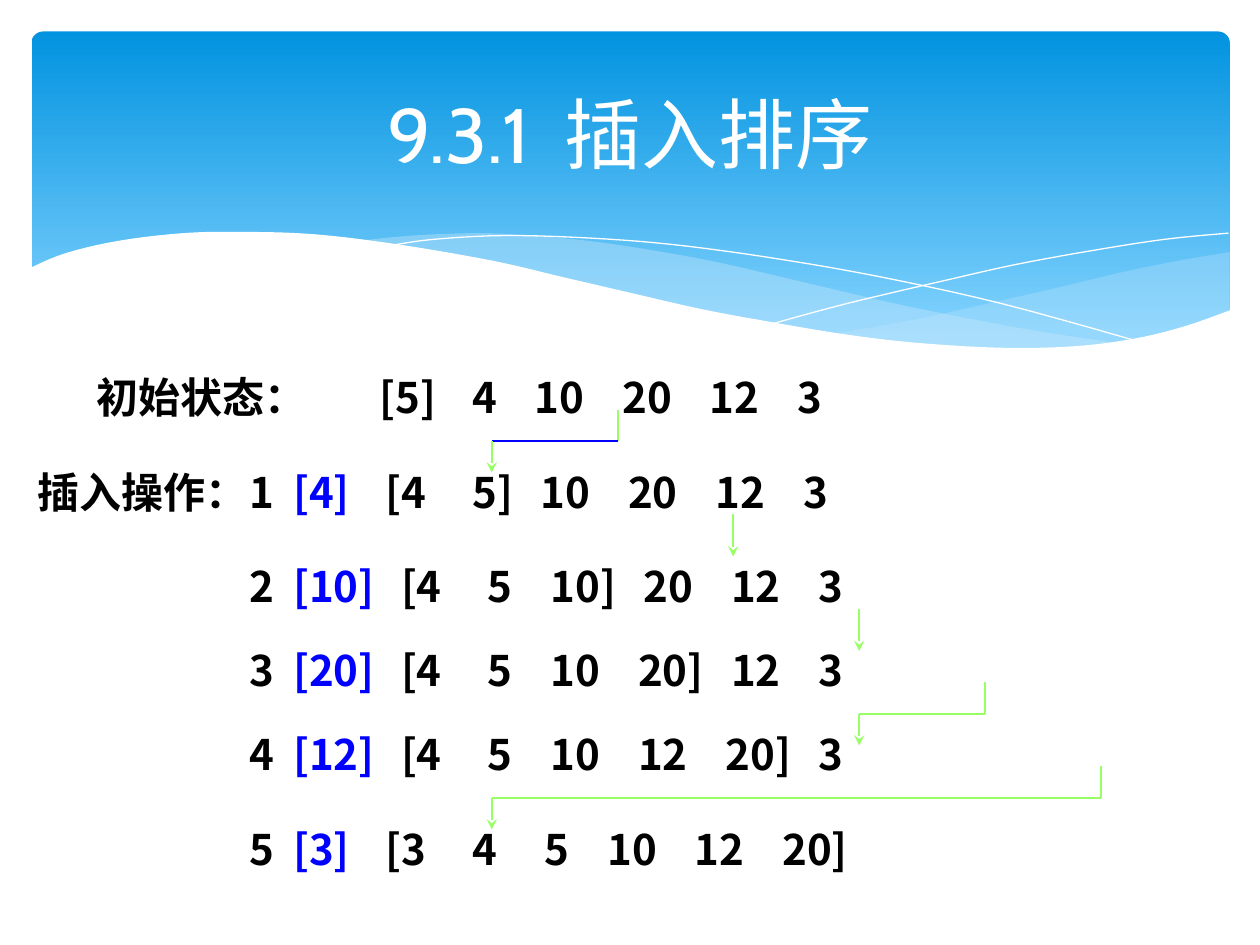
from lxml.etree import SubElement
from pptx import Presentation
from pptx.dml.color import RGBColor
from pptx.enum.shapes import MSO_CONNECTOR, MSO_SHAPE
from pptx.enum.text import MSO_ANCHOR, PP_ALIGN
from pptx.oxml.ns import qn
from pptx.util import Pt

COLORS = {
    "banner_top": "0293E0",
    "banner_bottom": "83D3FE",
    "wave": "C6E7FC",
    "white": "FFFFFF",
    "text": "000000",
    "key": "0000FF",
    "arrow": "99FF66",
}
BODY_FONT = "Noto Sans CJK SC"
TITLE_FONT = "Cabin"
DIGIT_WIDTH, BRACKET_WIDTH, SPACE_WIDTH = 14.2, 8.5, 5.4
ROW_LEFT, ROW_WIDTH, ROW_HEIGHT = 135.5, 512, 36

RIGHT_WAVE = [
    [(702.7, 144), (673.2, 149), (641.5, 155.5), (599, 165.6), (560.9, 174.2),
     (524.9, 182.2), (475.9, 190.8)],
    [(475.9, 190.8), (507.6, 195.1), (545, 198.7), (578.2, 200.2), (614.9, 198.7),
     (645.8, 194.4), (673.2, 188.6), (702.7, 177.8)],
]
MIDDLE_WAVE = [
    [(643, 196.6), (602.6, 190.8), (558, 182.9), (508.3, 172.8), (452.9, 159.8),
     (409.7, 149.8), (370.1, 142.6), (334.8, 137.5), (302.4, 134.6), (273.6, 133.2),
     (236.2, 134.6), (205.9, 137.5)],
    [(205.9, 137.5), (246.2, 143.3), (290.9, 151.9), (323.3, 159.8), (381.6, 172.8),
     (432.7, 183.6), (478.8, 191.5), (519.8, 197.3), (556.6, 199.4), (589, 200.2),
     (617, 199.4), (643, 196.6)],
]
FALLING_LINE = [
    (222.5, 140.4), (247.7, 136.8), (288.7, 134.6), (337.7, 136.1), (383.8, 139.7),
    (437.8, 146.9), (500.4, 157.7), (572.4, 173.5), (653, 195.8),
]
RISING_LINE = [
    (441.4, 185), (483.8, 173.5), (538.6, 160.6), (580.3, 151.2), (623.5, 143.3),
    (665.3, 136.8), (702, 133.2),
]
WHITE_WAVE = [
    (16.6, 153.4), (37.4, 144.7), (68.4, 137.5), (105.1, 133.2), (139, 132.5),
    (180, 133.9), (227.5, 139.7), (281.5, 149), (321.8, 158.4), (362.2, 167.8),
    (399.6, 176.4), (434.2, 182.9), (481, 190.8), (522.7, 195.8), (571, 198.7),
    (612, 198), (647.3, 193.7), (676.8, 186.5), (703.4, 177.1),
]
WHITE_BASE = [(703.4, 236.9), (16.6, 236.9)]

STEPS = [
    (263, "1", "[4]", "[4 5] 10 20 12 3"),
    (317, "2", "[10]", "[4 5 10] 20 12 3"),
    (365, "3", "[20]", "[4 5 10 20] 12 3"),
    (413, "4", "[12]", "[4 5 10 12 20] 3"),
    (467, "5", "[3]", "[3 4 5 10 12 20]"),
]
ELBOWS = [
    (353, 281, 234, "key"),
    (563, 491, 390, "arrow"),
    (629, 281, 438, "arrow"),
]
DROPS = [(419, 294), (491, 348)]


def color(name):
    return RGBColor.from_string(COLORS[name])


def smooth_curve(points, steps=5):
    padded = [points[0], *points, points[-1]]
    curve = [points[0]]
    for a, b, c, d in zip(padded, padded[1:], padded[2:], padded[3:]):
        for step in range(1, steps + 1):
            t = step / steps
            curve.append(tuple(
                0.5 * (2 * q + (r - p) * t + (2 * p - 5 * q + 4 * r - s) * t ** 2
                       + (3 * q - p - 3 * r + s) * t ** 3)
                for p, q, r, s in zip(a, b, c, d)))
    return curve


def add_outline(slide, points, closed):
    vertices = [(Pt(x), Pt(y)) for x, y in points]
    builder = slide.shapes.build_freeform(*vertices[0])
    builder.add_line_segments(vertices[1:], close=closed)
    shape = builder.convert_to_shape()
    shape.shadow.inherit = False
    return shape


def add_wave(slide, points, fill, opacity=100):
    shape = add_outline(slide, points, True)
    shape.fill.solid()
    shape.fill.fore_color.rgb = color(fill)
    shape.line.fill.background()
    if opacity < 100:
        fill_color = shape.element.spPr.find(f"{qn('a:solidFill')}/{qn('a:srgbClr')}")
        SubElement(fill_color, qn("a:alpha"), val=str(opacity * 1000))


def add_curve_line(slide, points):
    shape = add_outline(slide, smooth_curve(points), False)
    shape.fill.background()
    shape.line.color.rgb = color("white")
    shape.line.width = Pt(0)


def add_banner(slide):
    banner = slide.shapes.add_shape(
        MSO_SHAPE.ROUNDED_RECTANGLE, Pt(18), Pt(18), Pt(684.7), Pt(194.4))
    banner.adjustments[0] = 0.034
    banner.shadow.inherit = False
    banner.line.fill.background()
    banner.fill.gradient()
    banner.fill.gradient_angle = 270
    stops = zip(banner.fill.gradient_stops, ("banner_top", "banner_bottom"), (0, 0.9))
    for stop, name, position in stops:
        stop.color.rgb = color(name)
        stop.position = position
    for edges, opacity in ((RIGHT_WAVE, 29), (MIDDLE_WAVE, 40)):
        outline = [point for edge in edges for point in smooth_curve(edge)]
        add_wave(slide, outline, "wave", opacity)
    add_curve_line(slide, FALLING_LINE)
    add_curve_line(slide, RISING_LINE)
    add_wave(slide, smooth_curve(WHITE_WAVE) + WHITE_BASE, "white")


def format_font(font, name, size, bold, fill=None):
    font.size = Pt(size)
    font.bold = bold
    if fill:
        font.color.rgb = color(fill)
    font.name = name
    SubElement(font._element, qn("a:ea"), typeface=BODY_FONT)


def add_title(slide, text):
    title = slide.shapes.title
    title.left, title.top, title.width, title.height = Pt(36), Pt(26.6), Pt(648), Pt(98.6)
    title.element.getparent().append(title.element)
    title.text_frame.text = text
    title.text_frame.vertical_anchor = MSO_ANCHOR.MIDDLE
    paragraph = title.text_frame.paragraphs[0]
    paragraph.alignment = PP_ALIGN.CENTER
    format_font(paragraph.font, TITLE_FONT, 44, False, "white")


def cell_width(cell):
    digits = sum(character.isdigit() for character in cell)
    return digits * DIGIT_WIDTH + (len(cell) - digits) * BRACKET_WIDTH


def gap_after(cell, following):
    both_single = len(cell.strip("[]")) == len(following.strip("[]")) == 1
    return (4 + both_single - cell.endswith("]")) * SPACE_WIDTH


def tab_stops(first, cells):
    stops = [first]
    for cell, following in zip(cells, cells[1:]):
        stops.append(stops[-1] + cell_width(cell) + gap_after(cell, following))
    return stops


def add_row(slide, left, top, width, parts, stops=(), wrap=True):
    box = slide.shapes.add_textbox(Pt(left), Pt(top), Pt(width), Pt(ROW_HEIGHT))
    box.text_frame.word_wrap = wrap
    paragraph = box.text_frame.paragraphs[0]
    if stops:
        tabs = SubElement(paragraph._p.get_or_add_pPr(), qn("a:tabLst"))
        for stop in stops:
            SubElement(tabs, qn("a:tab"), pos=str(int(Pt(stop))), algn="l")
    single = len(parts) == 1
    format_font(paragraph.font, BODY_FONT, 24, True, parts[0][1] if single else None)
    for text, fill in parts:
        run = paragraph.add_run()
        run.text = text
        if not single:
            run.font.color.rgb = color(fill)


def add_step(slide, top, number, key, sequence):
    cells = sequence.split()
    stops = tab_stops(cell_width(number) + 2 * SPACE_WIDTH, [key, *cells])
    parts = [(number + "\t", "text"), (key, "key"), ("\t" + "\t".join(cells), "text")]
    add_row(slide, ROW_LEFT, top, ROW_WIDTH, parts, stops)


def add_line(slide, start, end, fill="arrow", arrow=False):
    connector = slide.shapes.add_connector(
        MSO_CONNECTOR.STRAIGHT, *(Pt(value) for value in (*start, *end)))
    connector.line.color.rgb = color(fill)
    connector.line.width = Pt(1)
    properties = connector.element.spPr
    if arrow:
        SubElement(properties.find(qn("a:ln")), qn("a:tailEnd"), type="stealth")
    SubElement(properties, qn("a:effectLst"))


def add_elbow(slide, source, target, top, middle_fill):
    middle, bottom = top + 18, top + 36
    add_line(slide, (source, top), (source, middle))
    add_line(slide, (source, middle), (target, middle), middle_fill)
    add_line(slide, (target, middle), (target, bottom), arrow=True)


def main():
    presentation = Presentation()
    presentation.slide_width, presentation.slide_height = Pt(720), Pt(540)
    slide = presentation.slides.add_slide(presentation.slide_layouts[5])
    add_banner(slide)
    add_title(slide, "9.3.1  插入排序")
    initial = "[5] 4 10 20 12 3".split()
    add_row(slide, 48, 209, 596, [("\t".join(["初始状态：", *initial]), "text")],
            tab_stops(162, initial))
    add_row(slide, 14.4, 263, 135, [("插入操作：", "text")], wrap=False)
    for step in STEPS:
        add_step(slide, *step)
    for elbow in ELBOWS:
        add_elbow(slide, *elbow)
    for x, top in DROPS:
        add_line(slide, (x, top), (x, top + 24), arrow=True)
    presentation.save("out.pptx")


if __name__ == "__main__":
    main()
